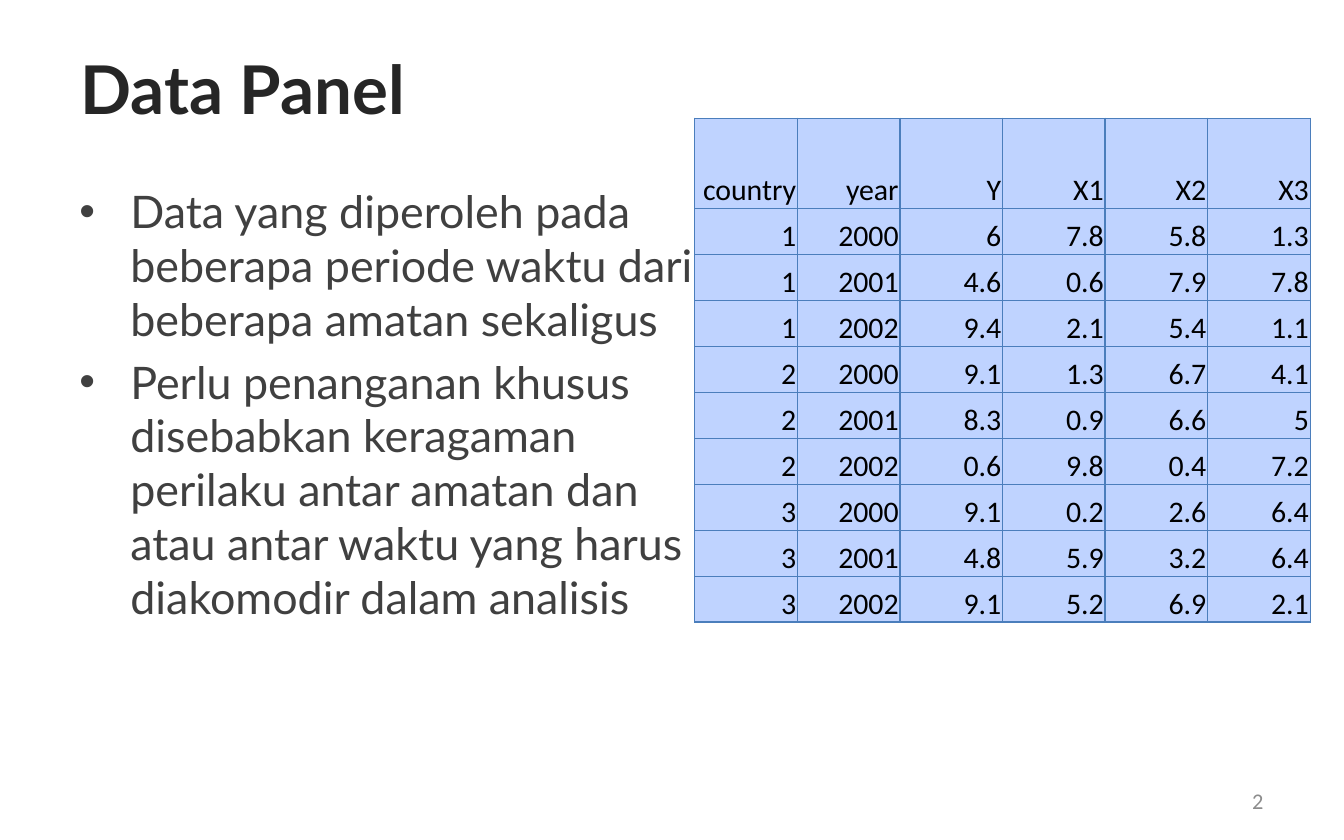
import pptx
import pptx.dml.color
import pptx.enum.text
import pptx.oxml
import pptx.oxml.ns
import pptx.util
from dataclasses import dataclass
from lxml import etree

Inches = pptx.util.Inches
Pt = pptx.util.Pt
ALIGN = pptx.enum.text.PP_ALIGN
ANCHOR = pptx.enum.text.MSO_ANCHOR
qn = pptx.oxml.ns.qn


@dataclass(frozen=True)
class Theme:
    heading_font: str = "Lato"
    data_font: str = "Calibri"
    title: str = "262626"
    body: str = "404040"
    data: str = "000000"
    number: str = "8C8C8C"
    cell: str = "BFD3FF"
    border: str = "4B7EBC"
    title_size: int = 36
    body_size: int = 24
    data_size: int = 16
    number_size: int = 12
    border_width: float = 0.75


THEME = Theme()

BULLETS = [
    "Data yang diperoleh pada beberapa periode waktu dari beberapa amatan sekaligus",
    "Perlu penanganan khusus disebabkan keragaman perilaku antar amatan dan "
    "atau antar waktu yang harus diakomodir dalam analisis",
]
PANEL = [
    ["country", "year", "Y", "X1", "X2", "X3"],
    [1, 2000, 6, 7.8, 5.8, 1.3],
    [1, 2001, 4.6, 0.6, 7.9, 7.8],
    [1, 2002, 9.4, 2.1, 5.4, 1.1],
    [2, 2000, 9.1, 1.3, 6.7, 4.1],
    [2, 2001, 8.3, 0.9, 6.6, 5],
    [2, 2002, 0.6, 9.8, 0.4, 7.2],
    [3, 2000, 9.1, 0.2, 2.6, 6.4],
    [3, 2001, 4.8, 5.9, 3.2, 6.4],
    [3, 2002, 9.1, 5.2, 6.9, 2.1],
]


def rgb(color):
    return pptx.dml.color.RGBColor.from_string(color)


def style(p, font, size, color, bold=False, align=ALIGN.LEFT):
    p.alignment = align
    p.font.name, p.font.size, p.font.bold = font, Pt(size), bold
    p.font.color.rgb = rgb(color)


def place(sp, box):
    sp.left, sp.top, sp.width, sp.height = (Inches(v) for v in box)


def add_title(s, box, text):
    sp = s.shapes.title
    place(sp, box)
    tf = sp.text_frame
    tf.text = text
    tf.vertical_anchor = ANCHOR.MIDDLE
    style(tf.paragraphs[0], THEME.heading_font, THEME.title_size, THEME.title, bold=True)


def add_bullets(s, box, items):
    sp = s.placeholders[1]
    place(sp, box)
    tf = sp.text_frame
    tf.text = "\n".join(items)
    tf.auto_size = pptx.enum.text.MSO_AUTO_SIZE.NONE
    tf.margin_right = Inches(0.05)
    for p in tf.paragraphs:
        style(p, THEME.heading_font, THEME.body_size, THEME.body)
        p.space_before = Pt(0.2 * THEME.body_size)
        # Hanging indent
        pPr = p._p.get_or_add_pPr()
        pPr.set("marL", str(Inches(0.38)))
        pPr.set("indent", str(-Inches(0.38)))


def set_borders(cell):
    tcPr = cell._tc.get_or_add_tcPr()
    for i, side in enumerate(("a:lnL", "a:lnR", "a:lnT", "a:lnB")):
        ln = etree.Element(qn(side), w=str(Pt(THEME.border_width)))
        fill = etree.SubElement(ln, qn("a:solidFill"))
        etree.SubElement(fill, qn("a:srgbClr"), val=THEME.border)
        tcPr.insert(i, ln)  # borders come before the fill


def add_panel_table(s, box, rows, header_height=0.67):
    left, top, width, height = (Inches(v) for v in box)
    n_rows, n_cols = len(rows), len(rows[0])
    table = s.shapes.add_table(n_rows, n_cols, left, top, width, height).table
    table.first_row = table.horz_banding = False
    for col in table.columns:
        col.width = width // n_cols
    header = Inches(header_height)
    for i, row in enumerate(table.rows):
        row.height = (height - header) // (n_rows - 1) if i else header
        for cell, value in zip(row.cells, rows[i]):
            cell.text = str(value)
            cell.vertical_anchor = ANCHOR.BOTTOM
            cell.margin_left = cell.margin_right = cell.margin_top = Inches(0.01)
            cell.margin_bottom = 0
            cell.fill.solid()
            cell.fill.fore_color.rgb = rgb(THEME.cell)
            style(cell.text_frame.paragraphs[0], THEME.data_font, THEME.data_size,
                  THEME.data, align=ALIGN.RIGHT)
            set_borders(cell)


def add_slide_number(s, box, number):
    sp = s.shapes.add_textbox(*(Inches(v) for v in box))
    tf = sp.text_frame
    tf.word_wrap = True
    tf.vertical_anchor = ANCHOR.MIDDLE
    p = tf.paragraphs[0]
    p.text = str(number)
    style(p, THEME.data_font, THEME.number_size, THEME.number, align=ALIGN.RIGHT)


def main():
    prs = pptx.Presentation()
    prs.slide_width, prs.slide_height = Inches(10), Inches(6.25)
    s = prs.slides.add_slide(prs.slide_layouts[1])
    add_title(s, (0.5, 0.13, 9, 1.04), "Data Panel")
    add_bullets(s, (0.49, 1.32, 4.76, 4.12), BULLETS)
    add_slide_number(s, (7.17, 5.79, 2.33, 0.33), 2)
    add_panel_table(s, (5.17, 0.88, 4.58, 3.75), PANEL)
    prs.save("out.pptx")


if __name__ == "__main__":
    main()
